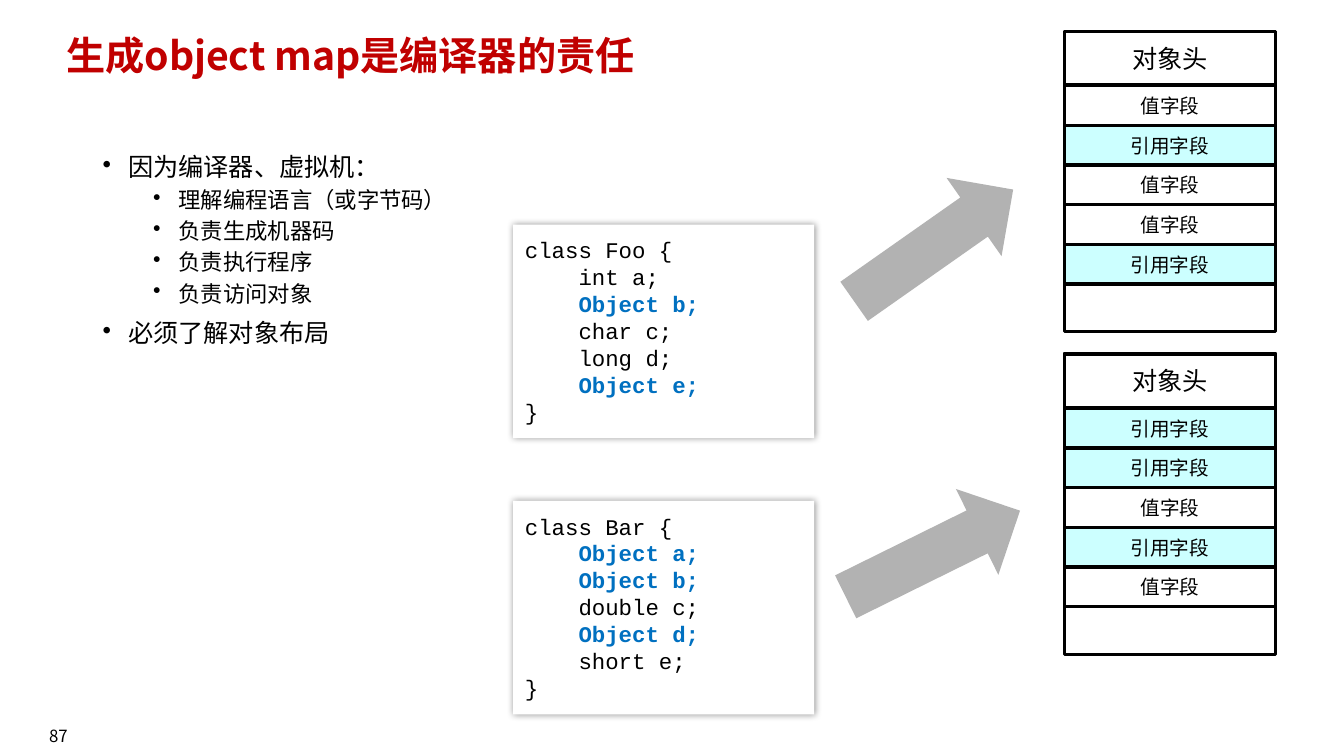
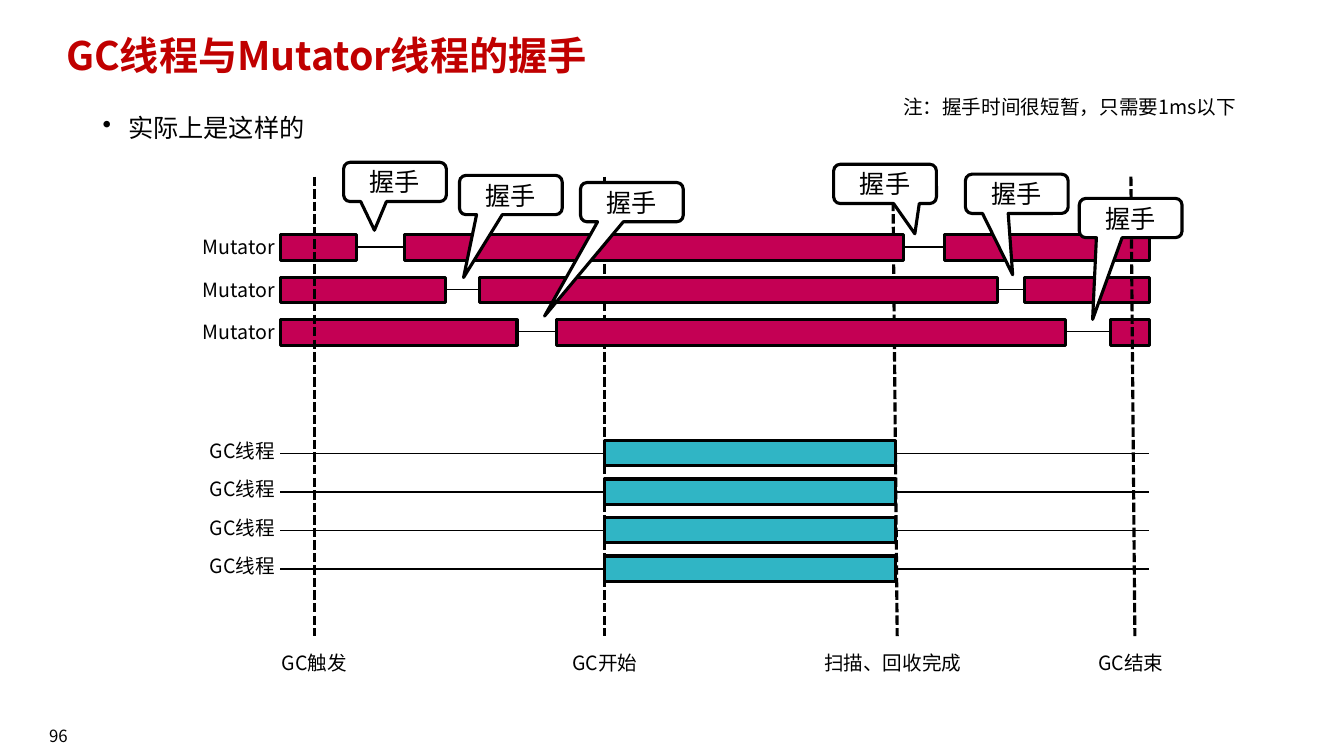
from lxml import etree
from pptx import Presentation
from pptx.dml.color import RGBColor
from pptx.enum.dml import MSO_LINE
from pptx.enum.shapes import MSO_CONNECTOR, MSO_SHAPE
from pptx.enum.text import MSO_ANCHOR, PP_ALIGN
from pptx.oxml.ns import qn
from pptx.util import Cm, Pt

LEFT, CENTER, RIGHT = PP_ALIGN.LEFT, PP_ALIGN.CENTER, PP_ALIGN.RIGHT
TOP, MIDDLE = MSO_ANCHOR.TOP, MSO_ANCHOR.MIDDLE
RECT, ARROW = MSO_SHAPE.RECTANGLE, MSO_SHAPE.RIGHT_ARROW
CALLOUT = MSO_SHAPE.ROUNDED_RECTANGULAR_CALLOUT
STRAIGHT, DASH = MSO_CONNECTOR.STRAIGHT, MSO_LINE.SQUARE_DOT
SANS, MONO = "Noto Sans CJK SC", "Courier New"
COLORS = {
    "black": "000000", "white": "FFFFFF", "title": "C00000", "code": "0070C0",
    "reference": "CCFFFF", "arrow": "B2B2B2", "mutator": "C40054", "gc": "30B5C5",
}
COLORS = {name: RGBColor.from_string(value) for name, value in COLORS.items()}
PADDING = (0.25, 0.13, 0.25, 0.13)


def add_box(s, x, y, w, h, text="", size=14, kind=None, fill=None, outline=True,
            color="black", bold=False, font=SANS, align=CENTER, anchor=MIDDLE,
            inset=PADDING):
    at = Cm(x), Cm(y), Cm(w), Cm(h)
    if kind is None:
        sp = s.shapes.add_textbox(*at)
    else:
        sp = s.shapes.add_shape(kind, *at)
        sp.shadow.inherit = False
        sp.fill.solid()
        sp.fill.fore_color.rgb = COLORS[fill]
        if outline:
            sp.line.color.rgb = COLORS["black"]
            sp.line.width = Pt(2.25)
        else:
            sp.line.fill.background()
    tf = sp.text_frame
    tf.word_wrap = True
    tf.vertical_anchor = anchor
    tf.margin_left, tf.margin_top, tf.margin_right, tf.margin_bottom = map(Cm, inset)
    for i, line in enumerate(text.split("\n") if text else []):
        p = tf.add_paragraph() if i else tf.paragraphs[0]
        p.text = line
        p.alignment = align
        p.font.size = Pt(size)
        p.font.bold = bold
        p.font.color.rgb = COLORS[color]
        p.font.name = font
        rpr = p._p.get_or_add_pPr().get_or_add_defRPr()
        etree.SubElement(rpr, qn("a:ea"), typeface=font)
    return sp


def add_line(s, x1, y1, x2, y2, width=1, dash=None):
    line = s.shapes.add_connector(STRAIGHT, Cm(x1), Cm(y1), Cm(x2), Cm(y2))
    line.line.color.rgb = COLORS["black"]
    line.line.width = Pt(width)
    line.line.dash_style = dash
    etree.SubElement(line._element.spPr, qn("a:effectLst"))


prs = Presentation()
prs.slide_width, prs.slide_height = Cm(33.87), Cm(19.05)

PAGES = [
    ("生成object map是编译器的责任", "87", (3.78, 14.6, 12.09), [
        (0, "因为编译器、虚拟机："),
        (1, "理解编程语言（或字节码）"),
        (1, "负责生成机器码"),
        (1, "负责执行程序"),
        (1, "负责访问对象"),
        (0, "必须了解对象布局"),
    ]),
    ("GC线程与Mutator线程的握手", "96", (2.79, 29.21, 13.06), [(0, "实际上是这样的")]),
]
slides = []
for title, number, (top, width, height), items in PAGES:
    s = prs.slides.add_slide(prs.slide_layouts[6])
    slides.append(s)
    add_box(s, 0, 18.03, 2.95, 1.02, number, 12)
    sp = add_box(s, 1.42, 0.79, 29.21, 1.65, title, 28, color="title", bold=True,
                 align=LEFT, anchor=TOP)
    sp.text_frame.paragraphs[0].line_spacing = 0.9
    sp = add_box(s, 2.34, top, width, height, "\n".join(text for _, text in items), 18,
                 align=LEFT, anchor=TOP)
    for i, (level, _) in enumerate(items):
        p = sp.text_frame.paragraphs[i]
        p.level = level
        p.line_spacing = 0.9
        p.space_before = Pt((10, 5)[level] if i else 0)
        p.font.size = Pt((18, 16)[level])
        ppr = p._p.get_or_add_pPr()
        ppr.set("marL", str(Cm((0.64, 1.91)[level])))
        ppr.set("indent", str(Cm(-0.64)))
        bullet = ppr.makeelement(qn("a:buChar"), {"char": "•"})
        ppr.get_or_add_defRPr().addprevious(bullet)

objects_slide, handshake_slide = slides

s = objects_slide
CLASSES = [
    ("Foo", ["int a", "Object b", "char c", "long d", "Object e"],
     0.79, 5.66, (21.08, 4.98, 324.9)),
    ("Bar", ["Object a", "Object b", "double c", "Object d", "short e"],
     8.92, 12.62, (21.06, 12.75, 333.7)),
]
for name, fields, map_top, code_top, (x, y, angle) in CLASSES:
    code = "\n".join([f"class {name} {{", *(f"    {f};" for f in fields), "}"])
    sp = add_box(s, 12.93, code_top, 7.59, 5.38, code, 16, RECT, "white", False,
                 font=MONO, align=LEFT, anchor=TOP, inset=(0.3, 0.3, 0.3, 0.3))
    effects = sp._element.spPr.find(qn("a:effectLst"))
    shadow = etree.SubElement(effects, qn("a:outerShdw"), blurRad=str(Pt(5)),
                              dist="0", dir="0", algn="ctr", rotWithShape="0")
    shade = etree.SubElement(shadow, qn("a:srgbClr"), val=str(COLORS["black"]))
    etree.SubElement(shade, qn("a:alpha"), val="40000")
    for p in sp.text_frame.paragraphs:
        if p.text.strip().startswith("Object"):
            p.font.bold = True
            p.font.color.rgb = COLORS["code"]

    add_box(s, 26.82, map_top, 5.33, 7.57, kind=RECT, fill="white")
    add_box(s, 26.82, map_top, 5.33, 1.35, "对象头", 18, RECT, "white")
    for i, field in enumerate(fields):
        is_reference = field.startswith("Object")
        add_box(s, 26.82, map_top + 1.37 + i, 5.33, 1,
                "引用字段" if is_reference else "值字段", kind=RECT,
                fill="reference" if is_reference else "white")

    sp = add_box(s, x, y, 4.9, 2.41, kind=ARROW, fill="arrow", outline=False)
    sp.rotation = angle

s = handshake_slide
START, END = 7.06, 28.96
BAR_HEIGHT = 0.64
LABEL_INSET = (0.1, 0, 0.2, 0)
PAUSES = [
    (8.99, 10.19, 22.78, 23.8),
    (11.23, 12.09, 25.15, 25.83),
    (13.03, 14.02, 26.85, 27.99),
]
MILESTONES = [
    ("GC触发", 7.92, 7.92, True),
    ("GC开始", 15.24, 15.24, False),
    ("扫描、回收完成", 22.5, 22.61, False),
    ("GC结束", 28.5, 28.6, True),
]
for label, x1, x2, in_front in MILESTONES:
    add_box(s, x1 - 2.17, 16.41, 4.34, 0.61, label, anchor=TOP, inset=(0, 0, 0, 0))
    if not in_front:
        add_line(s, x1, 4.45, x2, 16.03, 2.25, DASH)

for i, pauses in enumerate(PAUSES):
    y = 5.92 + 1.07 * i
    add_box(s, 2.51, y, 4.62, 0.61, "Mutator", align=RIGHT, inset=LABEL_INSET)
    add_line(s, START, y + 0.3, END, y + 0.3)
    edges = [START, *pauses, END]
    for x1, x2 in zip(edges[::2], edges[1::2]):
        add_box(s, x1, y, x2 - x1, BAR_HEIGHT, kind=RECT, fill="mutator")

for i in range(4):
    y = 11.1 + 0.97 * i
    add_box(s, 2.51, y - 0.06, 4.62, 0.61, "GC线程", align=RIGHT, inset=LABEL_INSET)
    add_line(s, START, y + 0.33, END, y + 0.33)
    add_box(s, 15.24, y, 7.34, BAR_HEIGHT, kind=RECT, fill="gc")

for label, x1, x2, in_front in MILESTONES:
    if in_front:
        add_line(s, x1, 4.45, x2, 16.03, 2.25, DASH)

CALLOUTS = [
    (8.66, 4.09, -0.2, 1.23),
    (11.58, 4.42, -0.46, 2.1),
    (14.63, 4.6, -0.85, 2.9),
    (21.01, 4.14, 0.29, 1.27),
    (24.33, 4.39, -0.04, 2.06),
    (27.2, 5, -0.37, 2.58),
]
for x, y, tip_x, tip_y in CALLOUTS:
    sp = add_box(s, x, y, 2.59, 0.99, "握手", 18, CALLOUT, "white")
    sp.adjustments[0], sp.adjustments[1] = tip_x, tip_y

add_box(s, 22.76, 2.39, 9.14, 0.61, "注：握手时间很短暂，只需要1ms以下", align=LEFT,
        anchor=TOP, inset=(0, 0, 0, 0))

prs.save("out.pptx")
